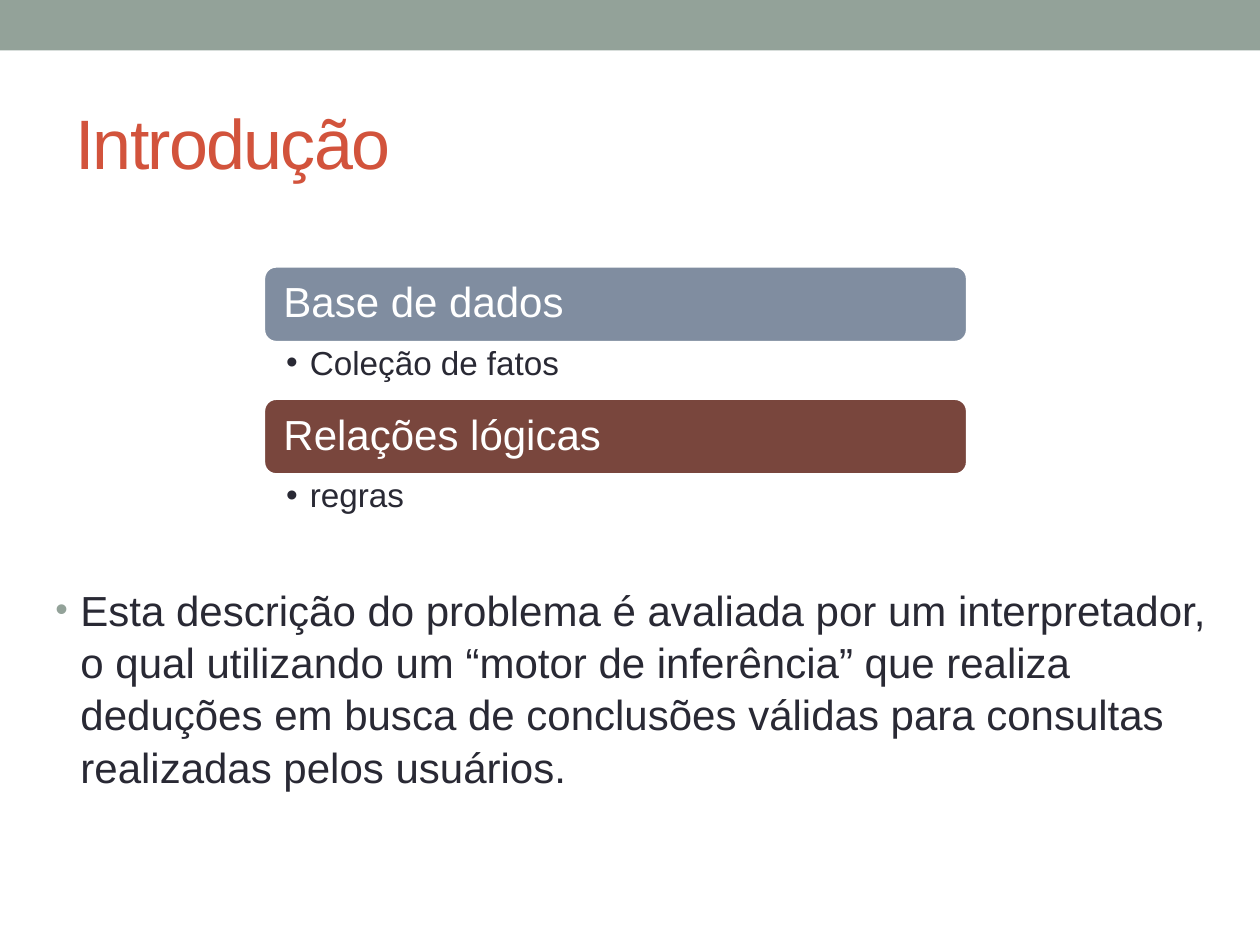
from dataclasses import dataclass

from lxml.etree import SubElement
from pptx import Presentation
from pptx.dml.color import RGBColor
from pptx.enum.shapes import MSO_SHAPE as Shape
from pptx.enum.text import MSO_ANCHOR as Anchor
from pptx.oxml.ns import qn
from pptx.util import Inches, Pt


@dataclass(frozen=True)
class Theme:
    font: str = "Arial"
    band: str = "93A299"
    title: str = "D2533C"
    text: str = "292934"
    white: str = "FFFFFF"
    data: str = "808DA0"
    logic: str = "79463D"
    title_size: int = 40
    body_size: int = 24
    detail_size: int = 19


THEME = Theme()
CARD_LEFT, CARD_WIDTH, CARD_HEIGHT = 2.09, 5.59, 0.61
DETAIL_HEIGHT = 0.43
FIRST_CARD_TOP, CARD_PITCH = 2.11, 1.05


def write(frame, text, size, color, anchor=Anchor.TOP, insets=(0.1, 0.05, 0.1, 0.05)):
    frame.word_wrap = True
    frame.vertical_anchor = anchor
    (frame.margin_left, frame.margin_top,
     frame.margin_right, frame.margin_bottom) = map(Inches, insets)
    frame.text = text
    paragraph = frame.paragraphs[0]
    for run in paragraph.runs:
        run.font.name = THEME.font
        run.font.size = Pt(size)
        run.font.color.rgb = RGBColor.from_string(color)
    return paragraph


def add_text(slide, box, text, size, color, **layout):
    frame = slide.shapes.add_textbox(*map(Inches, box)).text_frame
    return write(frame, text, size, color, **layout)


def add_bullet(paragraph, indent, color=None, percent=None):
    properties = paragraph._p.get_or_add_pPr()
    properties.set("marL", str(Inches(indent)))
    properties.set("indent", str(-Inches(indent)))
    if color:
        bullet_color = SubElement(properties, qn("a:buClr"))
        SubElement(bullet_color, qn("a:srgbClr"), val=color)
    if percent:
        SubElement(properties, qn("a:buSzPct"), val=str(percent * 1000))
    SubElement(properties, qn("a:buFont"), typeface=THEME.font)
    SubElement(properties, qn("a:buChar"), char="•")


def add_block(slide, kind, box, fill):
    block = slide.shapes.add_shape(kind, *map(Inches, box))
    block.shadow.inherit = False
    block.fill.solid()
    block.fill.fore_color.rgb = RGBColor.from_string(fill)
    block.line.fill.background()
    return block


def add_card(slide, top, heading, detail, fill):
    """Add a coloured heading with its bulleted detail below."""
    card = add_block(slide, Shape.ROUNDED_RECTANGLE,
                     (CARD_LEFT, top, CARD_WIDTH, CARD_HEIGHT), fill)
    card.line.color.rgb = RGBColor.from_string(THEME.white)
    card.line.width = Pt(2.08)
    label = write(card.text_frame, heading, THEME.body_size, THEME.white,
                  anchor=Anchor.MIDDLE, insets=(0.13, 0.1, 0.13, 0.1))
    label.alignment = 1
    label.line_spacing = 0.9

    item = add_text(slide, (CARD_LEFT, top + CARD_HEIGHT, CARD_WIDTH, DETAIL_HEIGHT),
                    detail, THEME.detail_size, THEME.text,
                    insets=(0.18, 0.03, 0.19, 0.03))
    item.line_spacing = 0.9
    add_bullet(item, 0.19)


def main():
    deck = Presentation()
    deck.slide_width, deck.slide_height = Inches(10), Inches(7.5)
    slide = deck.slides.add_slide(deck.slide_layouts[6])

    add_block(slide, Shape.RECTANGLE, (0, 0, 10, 0.4), THEME.band)
    title = add_text(slide, (0.5, 0.58, 9, 1.08), "Introdução",
                     THEME.title_size, THEME.title, anchor=Anchor.MIDDLE)
    title.runs[0].font._element.set("spc", "-100")

    cards = (("Base de dados", "Coleção de fatos", THEME.data),
             ("Relações lógicas", "regras", THEME.logic))
    for index, card in enumerate(cards):
        add_card(slide, FIRST_CARD_TOP + index * CARD_PITCH, *card)

    summary = add_text(
        slide, (0.34, 4.57, 9.38, 2.51),
        "Esta descrição do problema é avaliada por um interpretador, o qual "
        "utilizando um “motor de inferência” que realiza deduções em busca de "
        "conclusões válidas para consultas realizadas pelos usuários.",
        THEME.body_size, THEME.text)
    summary.line_spacing = 1.04
    add_bullet(summary, 0.2, THEME.band, 85)

    deck.save("out.pptx")


if __name__ == "__main__":
    main()
